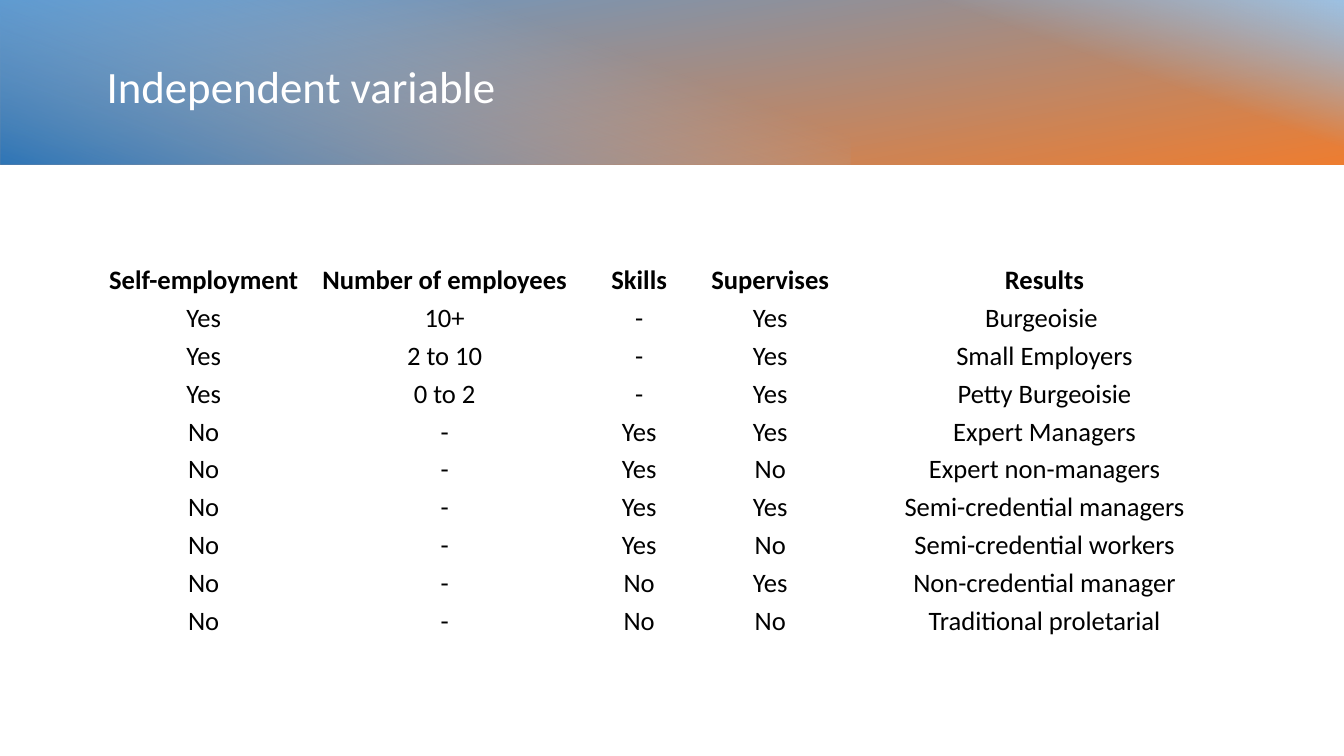
from lxml import etree
from pptx import Presentation
from pptx.dml.color import RGBColor
from pptx.enum import shapes, text
from pptx.oxml.ns import qn
from pptx.util import Inches, Pt

BLUE = RGBColor(0x5B, 0x9B, 0xD5)
ORANGE = RGBColor(0xED, 0x7D, 0x31)
PALE = RGBColor(0x9D, 0xC3, 0xE6)
DEEP = RGBColor(0x2E, 0x75, 0xB6)
WHITE = RGBColor(0xFF, 0xFF, 0xFF)
BLACK = RGBColor(0, 0, 0)


def write(frame, words, size, color, bold=False, align=text.PP_ALIGN.LEFT):
    frame.word_wrap = True
    frame.vertical_anchor = text.MSO_ANCHOR.MIDDLE
    par = frame.paragraphs[0]
    par.alignment = align
    run = par.add_run()
    run.text = words
    run.font.name = "Calibri"
    run.font.size = Pt(size)
    run.font.bold = bold
    run.font.color.rgb = color


prs = Presentation()
prs.slide_width = Inches(13.33)
prs.slide_height = Inches(7.5)
slide = prs.slides.add_slide(prs.slide_layouts[6])

# Header band: a base gradient under two glows that fade in from clear.
# Each row: box, rotation, clockwise gradient angle, start, first and last colour, fades
bands = [
    ((5.84, -5.87, 1.66, 13.34), 270, 170, 0, BLUE, ORANGE, False),
    ((9.75, -1.97, 1.65, 5.54), 270, 20, 0.59, PALE, PALE, True),
    ((3.39, -3.42, 1.66, 8.44), 90, 20, 0.29, PALE, DEEP, True),
]
for box, turn, angle, start, first, last, fades in bands:
    band = slide.shapes.add_shape(shapes.MSO_SHAPE.RECTANGLE, *map(Inches, box))
    band.rotation = turn
    band.shadow.inherit = False
    band.line.fill.background()
    band.fill.gradient()
    band.fill.gradient_angle = 360 - angle
    stops = band.fill.gradient_stops
    for stop, place, color in zip(stops, (start, 1), (first, last)):
        stop.position = place
        stop.color.rgb = color
    if fades:
        tint = next(band.element.spPr.iter(qn("a:srgbClr")))
        etree.SubElement(tint, qn("a:alpha"), val="0")

title = slide.shapes.add_textbox(Inches(0.96), Inches(0.33), Inches(11.46), Inches(1.1))
write(title.text_frame, "Independent variable", 32, WHITE)
title.text_frame.paragraphs[0].line_spacing = 0.9

rows = [
    ("Self-employment", "Number of employees", "Skills", "Supervises", "Results"),
    ("Yes", "10+", "-", "Yes", "Burgeoisie "),
    ("Yes", "2 to 10", "-", "Yes", "Small Employers"),
    ("Yes", "0 to 2", "-", "Yes", "Petty Burgeoisie"),
    ("No", "-", "Yes", "Yes", "Expert Managers"),
    ("No", "-", "Yes", "No", "Expert non-managers"),
    ("No", "-", "Yes", "Yes", "Semi-credential managers"),
    ("No", "-", "Yes", "No", "Semi-credential workers"),
    ("No", "-", "No", "Yes", "Non-credential manager"),
    ("No", "-", "No", "No", "Traditional proletarial"),
]
widths = (2.12, 2.66, 1.2, 1.4, 4.04)
table = slide.shapes.add_table(
    len(rows), len(widths), Inches(0.96), Inches(2.58), Inches(sum(widths)), Inches(3.77)
).table
table.first_row = False
table.horz_banding = False
for col, width in zip(table.columns, widths):
    col.width = Inches(width)
for r, row in enumerate(rows):
    for c, words in enumerate(row):
        cell = table.cell(r, c)
        cell.fill.background()
        cell.margin_left = cell.margin_right = cell.margin_top = Inches(0.02)
        cell.margin_bottom = 0
        cell.vertical_anchor = text.MSO_ANCHOR.MIDDLE
        write(cell.text_frame, words, 19, BLACK, bold=r == 0, align=text.PP_ALIGN.CENTER)

prs.save("out.pptx")
